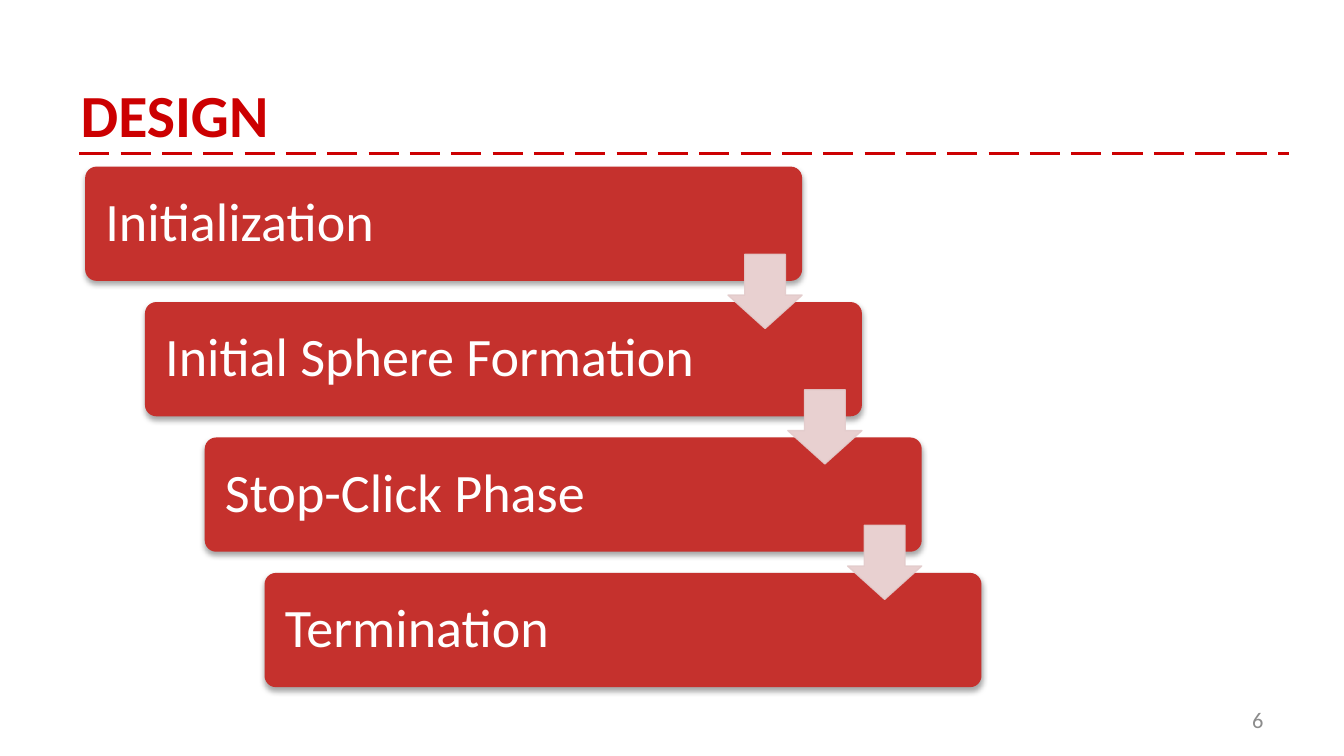
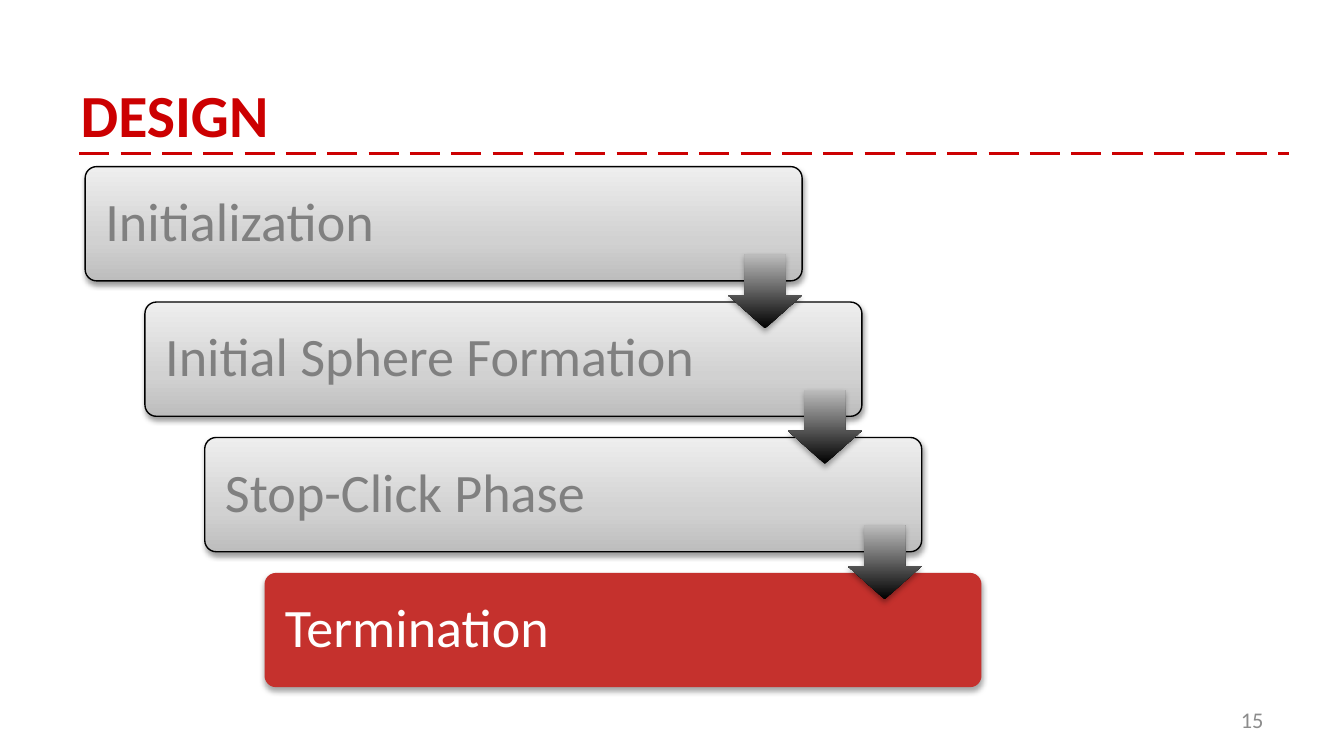
from dataclasses import dataclass
from typing import Optional

import pptx
import pptx.dml.color
import pptx.enum.dml
import pptx.enum.shapes
import pptx.enum.text
import pptx.oxml.ns
import pptx.util
from lxml import etree

Cm = pptx.util.Cm
Pt = pptx.util.Pt
qn = pptx.oxml.ns.qn
ALIGN = pptx.enum.text.PP_ALIGN
PRESET = pptx.enum.shapes.MSO_SHAPE


@dataclass(frozen=True)
class Theme:
    font: str = "Calibri"
    accent: str = "CC0001"
    white: str = "FFFFFF"
    black: str = "000000"
    muted: str = "808080"
    page_gray: str = "8C8C8C"
    active: str = "C5312D"
    pale: str = "E8D0D0"
    pale_edge: str = "E3CBCB"
    silver: str = "BDBDBD"
    silver_mid: str = "D1D1D1"
    silver_light: str = "EEEEEE"
    title_size: int = 32
    phase_size: int = 29
    page_size: int = 12
    rule_width: float = 2
    edge_width: float = 0.75


THEME = Theme()


@dataclass(frozen=True)
class Shadow:
    opacity: int = 35
    distance: float = 1.8
    blur: float = 3.1


@dataclass(frozen=True)
class Look:
    fill: tuple[tuple[int, str], ...]
    text: str = THEME.white
    edge: Optional[str] = None
    edge_opacity: int = 100
    shadow: Optional[Shadow] = None


@dataclass(frozen=True)
class Frame:
    left: float
    top: float
    width: float
    height: float

    def lengths(self) -> tuple:
        return Cm(self.left), Cm(self.top), Cm(self.width), Cm(self.height)


@dataclass(frozen=True)
class DesignSlide:
    page: str
    phase_looks: tuple[Look, ...]
    arrow_look: Look


ACTIVE = Look(((0, THEME.active),), shadow=Shadow())
INACTIVE = Look(
    ((0, THEME.silver), (35, THEME.silver_mid), (100, THEME.silver_light)),
    text=THEME.muted,
    edge=THEME.black,
    shadow=Shadow(opacity=38, distance=1.6),
)
PALE_ARROW = Look(((0, THEME.pale),), edge=THEME.pale_edge, edge_opacity=90)
DARK_ARROW = Look(((0, THEME.black), (100, THEME.silver)), shadow=Shadow())

PHASES = ("Initialization", "Initial Sphere Formation", "Stop-Click Phase", "Termination")
DESIGN_SLIDES = (
    DesignSlide("6", (ACTIVE,) * 4, PALE_ARROW),
    DesignSlide("15", (INACTIVE,) * 3 + (ACTIVE,), DARK_ARROW),
)

TITLE_FRAME = Frame(1.27, 1.02, 22.86, 2.24)
PAGE_FRAME = Frame(18.21, 13.23, 5.92, 0.76)
FIRST_PHASE = Frame(1.61, 3.15, 13.55, 2.16)
STEP_X, STEP_Y = 1.13, 2.56
ARROW_SIZE = 1.4
RULE_LEFT, RULE_RIGHT, RULE_TOP = 1.5, 24.36, 2.9


def rgb(color: str) -> pptx.dml.color.RGBColor:
    return pptx.dml.color.RGBColor.from_string(color)


def add_color(parent, color: str, opacity: int = 100) -> None:
    node = etree.SubElement(parent, qn("a:srgbClr"), val=color)
    if opacity < 100:
        etree.SubElement(node, qn("a:alpha"), val=str(opacity * 1000))


def write_text(frame, text: str, *, size: float, color: str, bold: bool = False,
               align=ALIGN.LEFT, line_spacing: Optional[float] = None,
               space_after: float = 0) -> None:
    frame.word_wrap = True
    frame.auto_size = pptx.enum.text.MSO_AUTO_SIZE.NONE
    frame.vertical_anchor = pptx.enum.text.MSO_ANCHOR.MIDDLE
    paragraph = frame.paragraphs[0]
    paragraph.alignment = align
    paragraph.line_spacing = line_spacing
    paragraph.space_after = Pt(space_after)
    run = paragraph.add_run()
    run.text = text
    run.font.name = THEME.font
    run.font.size = Pt(size)
    run.font.bold = bold
    run.font.color.rgb = rgb(color)


def apply_look(shape, look: Look) -> None:
    properties = shape.element.spPr
    if len(look.fill) == 1:
        shape.fill.solid()
        shape.fill.fore_color.rgb = rgb(look.fill[0][1])
    else:
        shape.fill.gradient()
        shape.fill.gradient_angle = 90
        stops = properties.find(".//" + qn("a:gsLst"))
        for stop in list(stops):
            stops.remove(stop)
        for position, color in look.fill:
            add_color(etree.SubElement(stops, qn("a:gs"), pos=str(position * 1000)), color)

    if look.edge:
        shape.line.color.rgb = rgb(look.edge)
        shape.line.width = Pt(THEME.edge_width)
        if look.edge_opacity < 100:
            edge_color = properties.find(qn("a:ln")).find(".//" + qn("a:srgbClr"))
            etree.SubElement(edge_color, qn("a:alpha"), val=str(look.edge_opacity * 1000))
    else:
        shape.line.fill.background()

    shape.shadow.inherit = False
    if look.shadow:
        outer = etree.SubElement(
            properties.find(qn("a:effectLst")), qn("a:outerShdw"),
            blurRad=str(Pt(look.shadow.blur)), dist=str(Pt(look.shadow.distance)),
            dir="5400000", rotWithShape="0",
        )
        add_color(outer, THEME.black, look.shadow.opacity)


def add_preset(slide, preset, frame: Frame, look: Look, adjustments: tuple[float, ...]):
    shape = slide.shapes.add_shape(preset, *frame.lengths())
    for index, value in enumerate(adjustments):
        shape.adjustments[index] = value
    apply_look(shape, look)
    return shape


def phase_frame(index: int) -> Frame:
    return Frame(FIRST_PHASE.left + index * STEP_X, FIRST_PHASE.top + index * STEP_Y,
                 FIRST_PHASE.width, FIRST_PHASE.height)


def arrow_frame(index: int) -> Frame:
    phase = phase_frame(index)
    gap_middle = phase.top + (phase.height + STEP_Y) / 2
    return Frame(phase.left + phase.width - ARROW_SIZE, gap_middle - ARROW_SIZE / 2,
                 ARROW_SIZE, ARROW_SIZE)


def add_phase(slide, name: str, frame: Frame, look: Look) -> None:
    phase = add_preset(slide, PRESET.ROUNDED_RECTANGLE, frame, look, (0.1,))
    text = phase.text_frame
    text.margin_left = text.margin_top = text.margin_bottom = Cm(0.32)
    text.margin_right = Cm(2.8)
    write_text(text, name, size=THEME.phase_size, color=look.text,
               line_spacing=0.9, space_after=10)


def add_heading(slide, page: str) -> None:
    title = slide.shapes.title
    title.left, title.top, title.width, title.height = TITLE_FRAME.lengths()
    write_text(title.text_frame, "DESIGN", size=THEME.title_size, color=THEME.accent, bold=True)

    rule = slide.shapes.add_connector(
        pptx.enum.shapes.MSO_CONNECTOR.STRAIGHT,
        Cm(RULE_LEFT), Cm(RULE_TOP), Cm(RULE_RIGHT), Cm(RULE_TOP),
    )
    rule.line.color.rgb = rgb(THEME.accent)
    rule.line.width = Pt(THEME.rule_width)
    rule.line.dash_style = pptx.enum.dml.MSO_LINE.LONG_DASH
    etree.SubElement(rule.element.spPr, qn("a:effectLst"))

    page_number = slide.shapes.add_textbox(*PAGE_FRAME.lengths())
    write_text(page_number.text_frame, page, size=THEME.page_size,
               color=THEME.page_gray, align=ALIGN.RIGHT)


def add_design_slide(deck, content: DesignSlide) -> None:
    slide = deck.slides.add_slide(deck.slide_layouts.get_by_name("Title Only"))
    add_heading(slide, content.page)
    for index, (name, look) in enumerate(zip(PHASES, content.phase_looks)):
        add_phase(slide, name, phase_frame(index), look)
    for index in range(len(PHASES) - 1):
        add_preset(slide, PRESET.DOWN_ARROW, arrow_frame(index), content.arrow_look, (0.55, 0.45))


def main() -> None:
    deck = pptx.Presentation()
    deck.slide_width = Cm(25.4)
    deck.slide_height = Cm(14.29)
    for content in DESIGN_SLIDES:
        add_design_slide(deck, content)
    deck.save("out.pptx")


if __name__ == "__main__":
    main()
